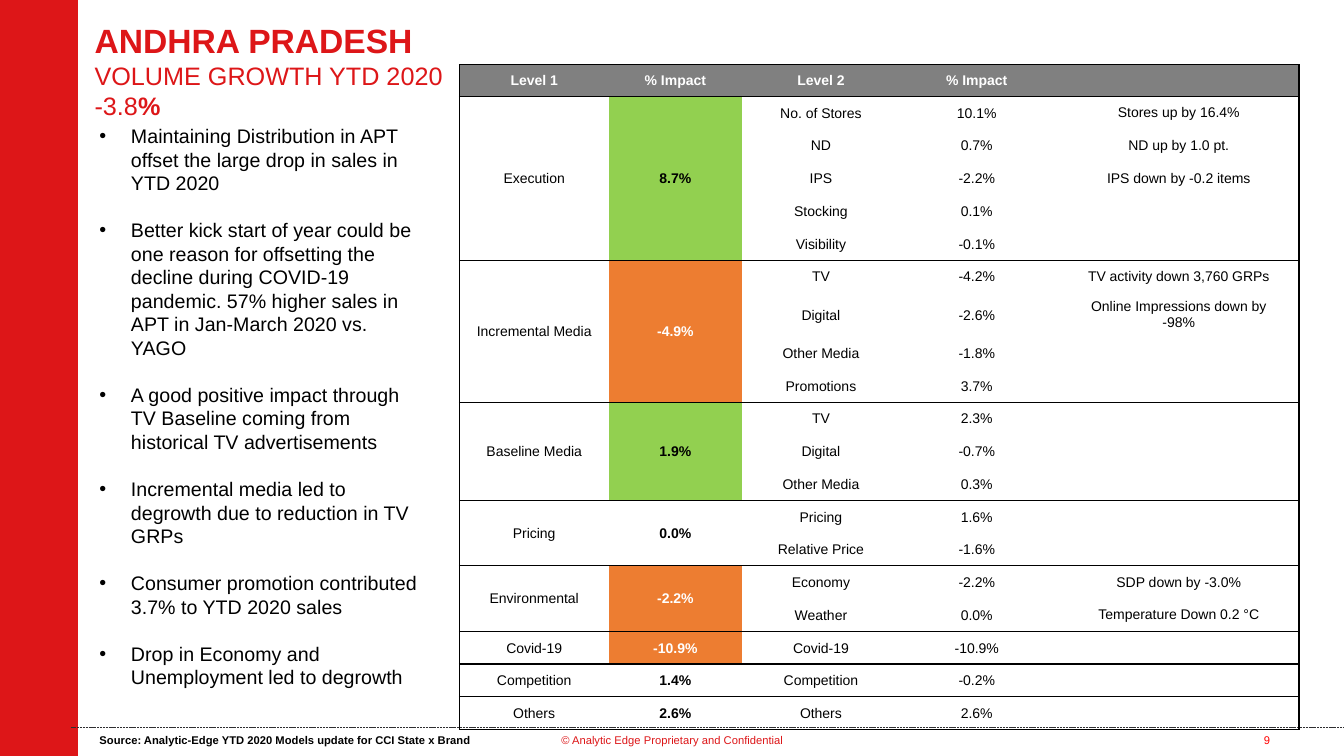
from lxml.etree import SubElement
from pptx import Presentation
from pptx.dml.color import RGBColor
from pptx.enum.dml import MSO_LINE
from pptx.enum.shapes import MSO_CONNECTOR, MSO_SHAPE
from pptx.enum.text import MSO_ANCHOR, PP_ALIGN
from pptx.oxml.ns import qn
from pptx.util import Pt

COLORS = {
    "red": "DD1618", "page": "FF0000", "black": "000000", "white": "FFFFFF",
    "rule": "2E2E30", "header": "808080", "up": "92D050", "down": "ED7D31",
}
NO_GRID_STYLE = "{2D5ABB26-0587-4C30-8999-92F81FD0307C}"
COLUMN_WIDTHS = [106.7, 95, 113, 109.6, 175.4]
HEADER_HEIGHT, ROW_HEIGHT, TWO_LINE_HEIGHT = 21.5, 23.4, 31.3
HEADINGS = ["Level 1", "% Impact", "Level 2", "% Impact", ""]
GROUPS = [
    ("Execution", "8.7%", "up", [
        ("No. of Stores", "10.1%", "Stores up by 16.4%"),
        ("ND", "0.7%", "ND up by 1.0 pt."),
        ("IPS", "-2.2%", "IPS down by -0.2 items"),
        ("Stocking", "0.1%", ""),
        ("Visibility", "-0.1%", "")]),
    ("Incremental Media", "-4.9%", "down", [
        ("TV", "-4.2%", "TV activity down 3,760 GRPs"),
        ("Digital", "-2.6%", "Online Impressions down by\n-98%"),
        ("Other Media", "-1.8%", ""),
        ("Promotions", "3.7%", "")]),
    ("Baseline Media", "1.9%", "up", [
        ("TV", "2.3%", ""),
        ("Digital", "-0.7%", ""),
        ("Other Media", "0.3%", "")]),
    ("Pricing", "0.0%", None, [
        ("Pricing", "1.6%", ""),
        ("Relative Price", "-1.6%", "")]),
    ("Environmental", "-2.2%", "down", [
        ("Economy", "-2.2%", "SDP down by -3.0%"),
        ("Weather", "0.0%", "Temperature Down 0.2 °C")]),
    ("Covid-19", "-10.9%", "down", [("Covid-19", "-10.9%", "")]),
    ("Competition", "1.4%", None, [("Competition", "-0.2%", "")]),
    ("Others", "2.6%", None, [("Others", "2.6%", "")]),
]
TITLE = [
    ("ANDHRA PRADESH", 24, True), ("\n", 24, True),
    ("VOLUME GROWTH YTD 2020", 18, False), ("\n", 18, False),
    ("-3.8", 18, False), ("%", 18, True),
]
FINDINGS = [
    "Maintaining Distribution in APT offset the large drop in sales in YTD 2020",
    "Better kick start of year could be one reason for offsetting the decline during "
    "COVID-19 pandemic. 57% higher sales in APT in Jan-March 2020 vs. YAGO",
    "A good positive impact through TV Baseline coming from historical TV advertisements",
    "Incremental media led to degrowth due to reduction in TV GRPs",
    "Consumer promotion contributed 3.7% to YTD 2020 sales",
    "Drop in Economy and Unemployment led to degrowth",
]


def rgb(name):
    """Return the named colour."""
    return RGBColor.from_string(COLORS[name])


def apply(obj, **values):
    """Set each format value on the object."""
    for name, value in values.items():
        setattr(obj, name, value)


def add_text(p, text, size, color="black", bold=False):
    """Add a formatted run to a paragraph."""
    r = p.add_run()
    r.text = text
    apply(r.font, name="Arial", size=Pt(size), bold=bold)
    r.font.color.rgb = rgb(color)


def add_box(s, box, wrap=True):
    """Add an empty text box and return its frame."""
    tf = s.shapes.add_textbox(*map(Pt, box)).text_frame
    apply(tf, word_wrap=wrap, vertical_anchor=MSO_ANCHOR.TOP)
    return tf


def add_frame(s, box):
    """Draw the red side band and the dashed footer rule."""
    left, top, width, height = box
    band_width, rule_y = 55.7, top + 519.3
    sp = s.shapes.add_shape(MSO_SHAPE.RECTANGLE, *map(Pt, (left, top, band_width, height)))
    sp.shadow.inherit = False
    sp.fill.solid()
    sp.fill.fore_color.rgb = rgb("red")
    sp.line.fill.background()
    rule = s.shapes.add_connector(
        MSO_CONNECTOR.STRAIGHT, Pt(left + 51), Pt(rule_y), Pt(left + width), Pt(rule_y))
    SubElement(rule._element.spPr, qn("a:effectLst"))
    apply(rule.line, width=Pt(0.5), dash_style=MSO_LINE.SQUARE_DOT)
    rule.line.color.rgb = rgb("rule")


def add_title(s, box):
    """Write the state name and its volume growth."""
    p = add_box(s, box).paragraphs[0]
    for text, size, bold in TITLE:
        if text == "\n":
            p.add_line_break()
        else:
            add_text(p, text, size, "red", bold)


def add_findings(s, box):
    """Write the bulleted findings."""
    tf = add_box(s, box)
    for i, finding in enumerate(FINDINGS):
        p = tf.add_paragraph() if i else tf.paragraphs[0]
        pPr = p._p.get_or_add_pPr()
        pPr.set("marL", str(Pt(22.5)))
        pPr.set("indent", str(-Pt(22.5)))
        apply(p, line_spacing=Pt(16.8), space_before=Pt(16.8 if i else 0))
        SubElement(pPr, qn("a:buFont")).set("typeface", "Arial")
        SubElement(pPr, qn("a:buChar")).set("char", "•")
        add_text(p, finding, 14)


def add_footer(s, box):
    """Write the source, copyright line and page number."""
    left, top, _, height = box
    entries = [
        (64, 280, "Source: Analytic-Edge YTD 2020 Models update for CCI State x Brand",
         "black", True, PP_ALIGN.LEFT),
        (379.5, 201.6, "© Analytic Edge Proprietary and Confidential", "red", False, PP_ALIGN.CENTER),
        (882.7, 44.6, "9", "page", False, PP_ALIGN.CENTER),
    ]
    for x, width, text, color, bold, align in entries:
        p = add_box(s, (left + x, top, width, height), not bold).paragraphs[0]
        p.alignment = align
        add_text(p, text, 8, color, bold)


def style_cell(cell, text, edges, fill=None, color="black", bold=False, note=False):
    """Write one cell with its borders, fill and margins."""
    margins = (7.2, 3.6, 3.6, 3.6) if note and text else (0.7, 0.7, 0.7, 0)
    names = ("margin_left", "margin_top", "margin_right", "margin_bottom")
    apply(cell, vertical_anchor=MSO_ANCHOR.MIDDLE, **dict(zip(names, map(Pt, margins))))
    tf = cell.text_frame
    for i, line in enumerate(text.split("\n")):
        p = tf.add_paragraph() if i else tf.paragraphs[0]
        p.alignment = PP_ALIGN.CENTER
        if line:
            add_text(p, line, 10, color, bold)
    tcPr = cell._tc.get_or_add_tcPr()
    for edge in "LRTB":
        ln = SubElement(tcPr, qn("a:ln" + edge), w=str(Pt(1)))
        if edge in edges:
            paint = SubElement(ln, qn("a:solidFill"))
            SubElement(paint, qn("a:srgbClr"), val=COLORS["black"])
        else:
            SubElement(ln, qn("a:noFill"))
    if fill:
        cell.fill.solid()
        cell.fill.fore_color.rgb = rgb(fill)
    else:
        cell.fill.background()


def add_impact_table(s, box):
    """Build the table of impacts, merging each group's first two columns."""
    details = [detail for group in GROUPS for detail in group[3]]
    tbl = s.shapes.add_table(len(details) + 1, len(HEADINGS), *map(Pt, box)).table
    apply(tbl, first_row=False, horz_banding=False)
    tbl._tbl.tblPr.find(qn("a:tableStyleId")).text = NO_GRID_STYLE
    for column, width in zip(tbl.columns, COLUMN_WIDTHS):
        column.width = Pt(width)
    heights = [TWO_LINE_HEIGHT if "\n" in d[2] else ROW_HEIGHT for d in details]
    for row, height in zip(tbl.rows, [HEADER_HEIGHT] + heights):
        row.height = Pt(height)
    sides = ["L", "", "", "", "R"]
    for col, heading in enumerate(HEADINGS):
        style_cell(tbl.cell(0, col), heading, "TB" + sides[col], "header", "white", True)
    start = 1
    for level, impact, trend, rows in GROUPS:
        last = len(rows) - 1
        for i, detail in enumerate(rows):
            lead = (level, impact) if i == 0 else ("", "")
            for col, text in enumerate(lead + detail):
                top = "T" if i == 0 else ""
                bottom = "B" if i == last or (col < 2 and i == 0) else ""
                total = col == 1
                style_cell(
                    tbl.cell(start + i, col), text, top + bottom + sides[col],
                    trend if total else None,
                    "white" if total and trend == "down" else "black", total, col == 4)
        if last:
            for col in (0, 1):
                tbl.cell(start, col).merge(tbl.cell(start + last, col))
        start += len(rows)


def main():
    """Build and save the slide."""
    prs = Presentation()
    apply(prs, slide_width=Pt(960), slide_height=Pt(540))
    s = prs.slides.add_slide(prs.slide_layouts[6])
    add_frame(s, (0, 0, 960, 540))
    add_impact_table(s, (328.2, 46.2, 599.7, 474))
    add_findings(s, (64, 85, 247, 420))
    add_title(s, (60.5, 10.4, 738, 76))
    add_footer(s, (0, 520, 960, 20))
    prs.save("out.pptx")


if __name__ == "__main__":
    main()
